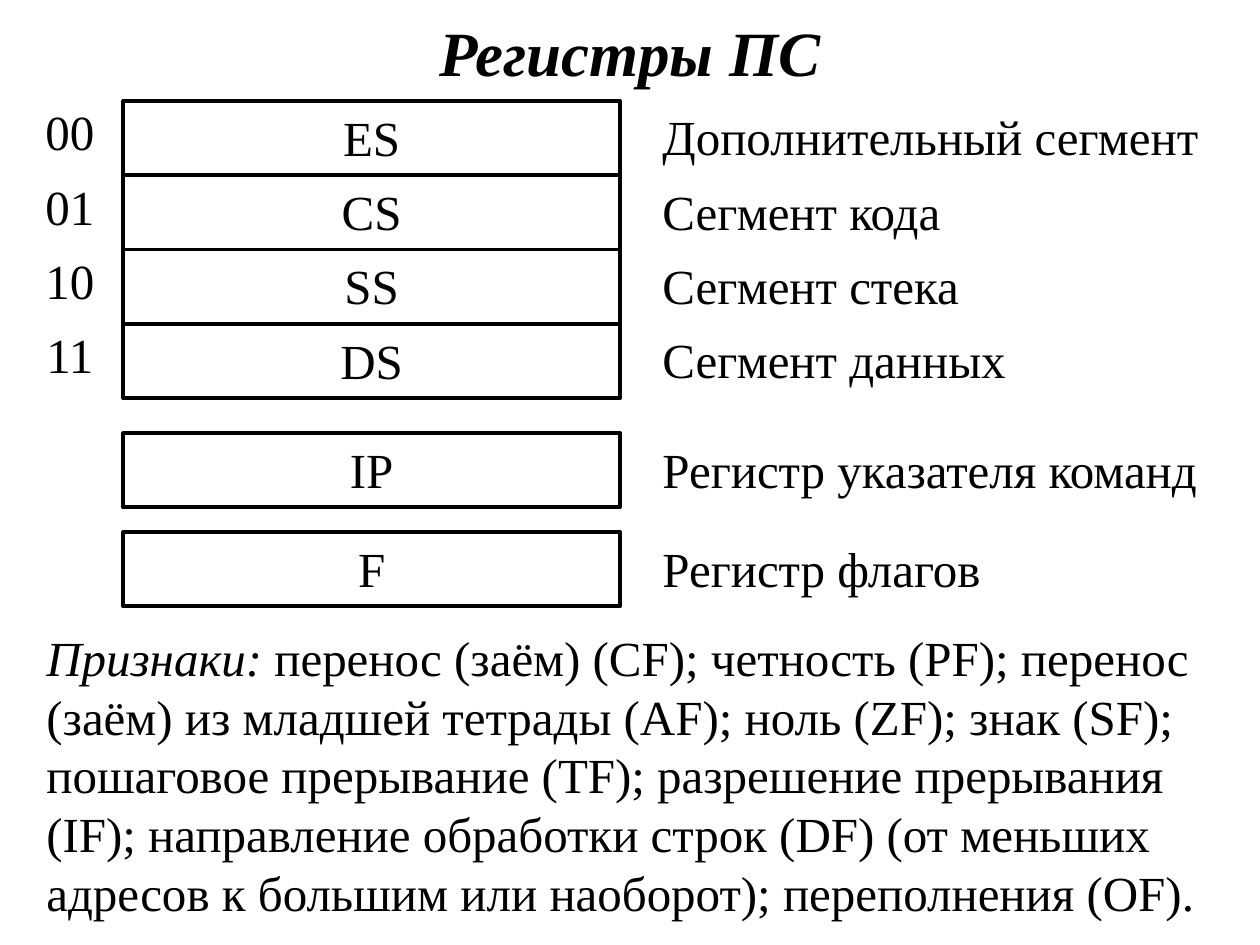
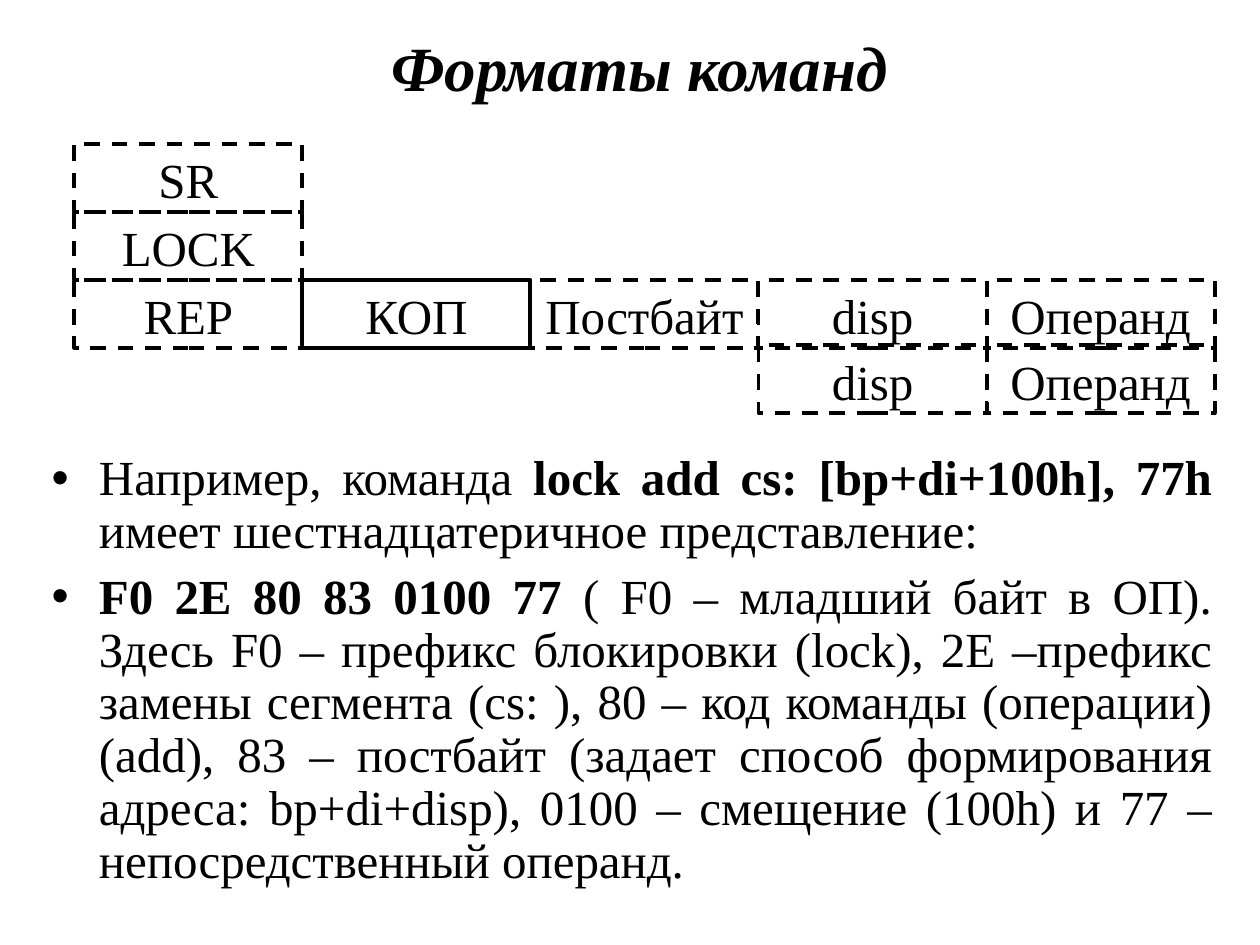
"""Build two slides on processor registers and instruction formats."""
from typing import NamedTuple

from pptx import Presentation
from pptx.dml.color import RGBColor
from pptx.enum.dml import MSO_LINE
from pptx.enum.shapes import MSO_SHAPE
from pptx.enum.text import MSO_ANCHOR, MSO_AUTO_SIZE, PP_ALIGN
from pptx.util import Inches, Pt

INK = RGBColor(0x00, 0x00, 0x00)
FONT = "Times New Roman"
TITLE_SIZE, TEXT_SIZE = Pt(36), Pt(28)
LINE_WIDTH = Pt(2.25)
TITLE_ONLY, TITLE_AND_BODY = 5, 1


class Area(NamedTuple):
    left: float
    top: float
    width: float
    height: float

    def lengths(self):
        return [Inches(value) for value in self]


class Grid(NamedTuple):
    left: float
    top: float
    column: float
    row: float

    def cell(self, column: float, row: float) -> Area:
        return Area(self.left + column * self.column, self.top + row * self.row,
                    self.column, self.row)


class Span(NamedTuple):
    text: str
    bold: bool = False
    italic: bool = False


class Register(NamedTuple):
    row: float
    name: str
    meaning: str
    code: str = ""


class Field(NamedTuple):
    column: int
    row: float
    name: str
    optional: bool = True


REGISTER_GRID = Grid(0.98, 0.8, 3.94, 0.59)
CODE_LEFT, CODE_WIDTH, CODE_RISE = 0.12, 0.87, 0.04
MEANING_LEFT, MEANING_WIDTH = 5.16, 4.57
LABEL_HEIGHT = 0.54
REGISTERS = [
    Register(0, "ES", "Дополнительный сегмент", "00"),
    Register(1, "CS", "Сегмент кода", "01"),
    Register(2, "SS", "Сегмент стека", "10"),
    Register(3, "DS", "Сегмент данных", "11"),
    Register(4.47, "IP", "Регистр указателя команд"),
    Register(5.8, "F", "Регистр флагов"),
]
FLAGS = [
    Span("Признаки:", italic=True),
    Span(" перенос (заём) (CF); четность (PF); перенос (заём) из младшей "
         "тетрады (AF); ноль (ZF); знак (SF); пошаговое прерывание (TF); "
         "разрешение прерывания (IF); направление обработки строк (DF) "
         "(от меньших адресов к большим или наоборот); переполнения (OF)."),
]

FORMAT_GRID = Grid(0.59, 1.14, 1.81, 0.54)
SECOND_BYTE_ROW = 2.96
FIELDS = [
    Field(0, 2, "REP"),
    Field(1, 2, "КОП", optional=False),
    Field(2, 2, "Постбайт"),
    Field(3, 2, "disp"),
    Field(4, 2, "Операнд"),
    Field(0, 1, "LOCK"),
    Field(0, 0, "SR"),
    Field(3, SECOND_BYTE_ROW, "disp"),
    Field(4, SECOND_BYTE_ROW, "Операнд"),
]
EXAMPLE = [
    [
        Span("Например, команда "),
        Span("lock add cs: [bp+di+100h], 77h", bold=True),
        Span(" имеет шестнадцатеричное представление:"),
    ],
    [
        Span("F0 2E 80 83 0100 77", bold=True),
        Span(" ( F0 – младший байт в ОП). Здесь F0 – префикс блокировки (lock), "
             "2E –префикс замены сегмента (cs: ), 80 – код команды (операции) "
             "(add), 83 – постбайт (задает способ формирования адреса: "
             "bp+di+disp), 0100 – смещение (100h) и 77 – непосредственный "
             "операнд."),
    ],
]


def write(paragraph, spans: list[Span], align=PP_ALIGN.LEFT, size=TEXT_SIZE) -> None:
    """Fill a paragraph with formatted spans."""
    paragraph.alignment = align
    for span in spans:
        run = paragraph.add_run()
        run.text = span.text
        run.font.name, run.font.size = FONT, size
        run.font.bold, run.font.italic = span.bold, span.italic
        run.font.color.rgb = INK


def place(placeholder, area: Area, anchor):
    """Move a placeholder and return its text frame."""
    placeholder.left, placeholder.top, placeholder.width, placeholder.height = area.lengths()
    frame = placeholder.text_frame
    frame.auto_size = MSO_AUTO_SIZE.NONE
    frame.vertical_anchor = anchor
    return frame


def add_titled_slide(deck, layout: int, title: str, area: Area):
    """Add a slide with a bold italic title."""
    slide = deck.slides.add_slide(deck.slide_layouts[layout])
    frame = place(slide.shapes.title, area, MSO_ANCHOR.MIDDLE)
    write(frame.paragraphs[0], [Span(title, bold=True, italic=True)],
          PP_ALIGN.CENTER, TITLE_SIZE)
    return slide


def add_label(shapes, area: Area, spans: list[Span], align=PP_ALIGN.LEFT) -> None:
    """Add a wrapped text box."""
    frame = shapes.add_textbox(*area.lengths()).text_frame
    frame.word_wrap = True
    write(frame.paragraphs[0], spans, align)


def add_cell(shapes, area: Area, name: str, dashed: bool = False) -> None:
    """Add an outlined cell with a centred name."""
    cell = shapes.add_shape(MSO_SHAPE.RECTANGLE, *area.lengths())
    cell.shadow.inherit = False
    cell.fill.background()
    cell.line.color.rgb = INK
    cell.line.width = LINE_WIDTH
    if dashed:
        cell.line.dash_style = MSO_LINE.DASH
    cell.text_frame.vertical_anchor = MSO_ANCHOR.TOP
    write(cell.text_frame.paragraphs[0], [Span(name)], PP_ALIGN.CENTER)


def build_registers(deck) -> None:
    """Build the slide of segment, pointer and flag registers."""
    slide = add_titled_slide(deck, TITLE_ONLY, "Регистры ПС", Area(0.75, 0.13, 8.5, 0.55))
    for register in REGISTERS:
        area = REGISTER_GRID.cell(0, register.row)
        add_cell(slide.shapes, area, register.name)
        if register.code:
            add_label(slide.shapes,
                      Area(CODE_LEFT, area.top - CODE_RISE, CODE_WIDTH, LABEL_HEIGHT),
                      [Span(register.code)], PP_ALIGN.CENTER)
        add_label(slide.shapes, Area(MEANING_LEFT, area.top, MEANING_WIDTH, LABEL_HEIGHT),
                  [Span(register.meaning)])
    add_label(slide.shapes, Area(0.27, 4.93, 9.53, 2.44), FLAGS)


def build_formats(deck) -> None:
    """Build the slide of instruction fields with an example."""
    slide = add_titled_slide(deck, TITLE_AND_BODY, "Форматы команд",
                             Area(0.31, 0.13, 9.53, 0.79))
    body = place(slide.placeholders[1], Area(0.31, 3.55, 9.41, 3.62), MSO_ANCHOR.TOP)
    for index, spans in enumerate(EXAMPLE):
        paragraph = body.add_paragraph() if index else body.paragraphs[0]
        paragraph.line_spacing = 0.9
        paragraph.space_before = Pt(7 if index else 0)
        write(paragraph, spans, PP_ALIGN.JUSTIFY)
    instruction = slide.shapes.add_group_shape()
    for field in FIELDS:
        add_cell(instruction.shapes, FORMAT_GRID.cell(field.column, field.row),
                 field.name, field.optional)


def main() -> None:
    """Build and save the deck."""
    deck = Presentation()
    deck.slide_width, deck.slide_height = Inches(10), Inches(7.5)
    build_registers(deck)
    build_formats(deck)
    deck.save("out.pptx")


if __name__ == "__main__":
    main()
